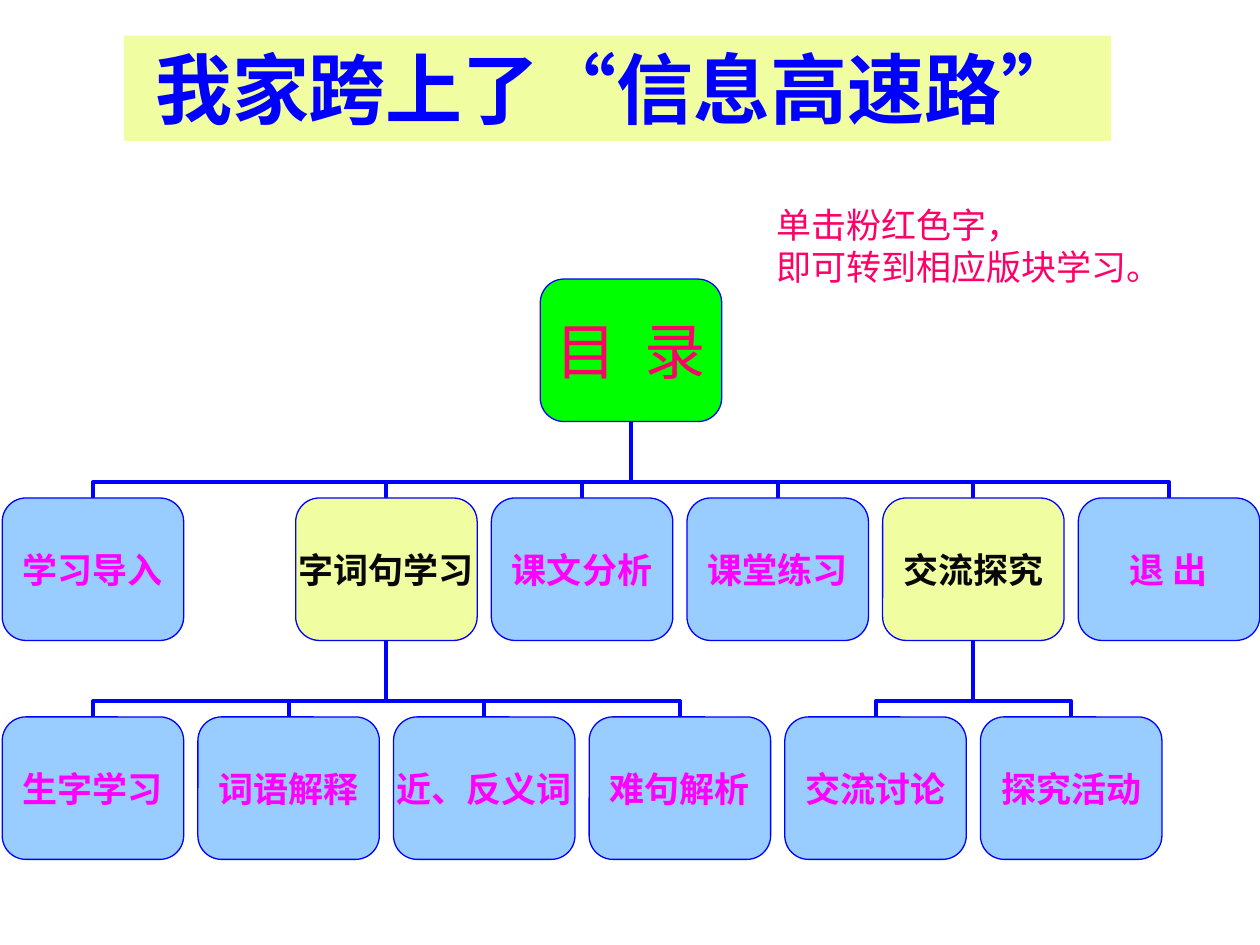
"""Build a contents slide: a title bar, a hint and a three-level tree of topics."""
from lxml import etree
from pptx import Presentation
from pptx.dml.color import RGBColor
from pptx.enum.shapes import MSO_CONNECTOR, MSO_SHAPE
from pptx.enum.text import MSO_ANCHOR, PP_ALIGN
from pptx.oxml.ns import qn
from pptx.util import Pt

RECT, ROUNDED = MSO_SHAPE.RECTANGLE, MSO_SHAPE.ROUNDED_RECTANGLE
ELBOW = MSO_CONNECTOR.ELBOW
LEFT, CENTER = PP_ALIGN.LEFT, PP_ALIGN.CENTER
TOP, MIDDLE = MSO_ANCHOR.TOP, MSO_ANCHOR.MIDDLE

TITLE = "我家跨上了“信息高速路”"
HINT = "单击粉红色字，\v即可转到相应版块学习。"
ROOT = "目  录"
TOPICS = [
    ("学习导入", 0, []),
    ("字词句学习", 1.5, [("生字学习", 0), ("词语解释", 1), ("近、反义词", 2), ("难句解析", 3)]),
    ("课文分析", 2.5, []),
    ("课堂练习", 3.5, []),
    ("交流探究", 4.5, [("交流讨论", 4), ("探究活动", 5)]),
    ("退 出", 5.5, []),
]
COLORS = {
    "blue": "0000FF", "yellow": "F0FDA1", "green": "00FF00", "sky": "99CCFF",
    "pink": "FF0066", "magenta": "FF00FF", "black": "080808",
}
FONT = "Arial"
TREE_LEFT, TREE_TOP = 1.3, 159.5
BOX_W, BOX_H = 103.7, 81.4
COL_STEP, ROW_STEP = 111.8, 125.1
ELBOW_BEND = 20500


def rgb(name):
    return RGBColor.from_string(COLORS[name])


def write(s, text, size=20, color="pink", bold=False, align=LEFT, anchor=TOP,
          margins=(7.2, 3.6), wrap=True):
    tf = s.text_frame
    tf.word_wrap = wrap
    tf.vertical_anchor = anchor
    tf.margin_left = tf.margin_right = Pt(margins[0])
    tf.margin_top = tf.margin_bottom = Pt(margins[1])
    p = tf.paragraphs[0]
    p.text = text
    p.alignment = align
    for r in p.runs:
        r.font.name = FONT
        r.font.size = Pt(size)
        r.font.bold = bold
        r.font.color.rgb = rgb(color)


def add_box(slide, kind, x, y, w, h, fill, line=None):
    s = slide.shapes.add_shape(kind, Pt(x), Pt(y), Pt(w), Pt(h))
    s.shadow.inherit = False
    s.fill.solid()
    s.fill.fore_color.rgb = rgb(fill)
    if line:
        s.line.color.rgb = rgb(line)
        s.line.width = Pt(0.75)
    else:
        s.line.fill.background()
    return s


def add_node(slide, text, col, row, fill="sky", color="magenta", size=20, bold=True):
    x, y = TREE_LEFT + col * COL_STEP, TREE_TOP + row * ROW_STEP
    s = add_box(slide, ROUNDED, x, y, BOX_W, BOX_H, fill, "blue")
    write(s, text, size=size, color=color, bold=bold, align=CENTER,
          anchor=MIDDLE, margins=(0, 0), wrap=False)


def add_branch(slide, child_col, parent_col, row):
    length = ROW_STEP - BOX_H
    spread = abs(child_col - parent_col) * COL_STEP
    mid_x = TREE_LEFT + BOX_W / 2 + (child_col + parent_col) / 2 * COL_STEP
    mid_y = TREE_TOP + row * ROW_STEP - length / 2
    is_right = child_col > parent_col
    half = length / 2 if is_right else -length / 2
    c = slide.shapes.add_connector(
        ELBOW, Pt(mid_x - half), Pt(mid_y + spread / 2),
        Pt(mid_x + half), Pt(mid_y - spread / 2))
    c.line.color.rgb = rgb("blue")
    c.line.width = Pt(2.25)
    props = c._element.spPr
    props.find(qn("a:xfrm")).set("rot", str((270 if is_right else 90) * 60000))
    guides = props.find(qn("a:prstGeom")).find(qn("a:avLst"))
    etree.SubElement(guides, qn("a:gd"), name="adj1", fmla=f"val {ELBOW_BEND}")
    etree.SubElement(props, qn("a:effectLst"))


def add_tree(slide):
    root_col = (TOPICS[0][1] + TOPICS[-1][1]) / 2
    for _, col, children in TOPICS:
        add_branch(slide, col, root_col, 1)
        for _, child_col in children:
            add_branch(slide, child_col, col, 2)
    add_node(slide, ROOT, root_col, 0, fill="green", color="pink", size=35, bold=False)
    for text, col, children in TOPICS:
        look = {"fill": "yellow", "color": "black"} if children else {}
        add_node(slide, text, col, 1, **look)
        for child, child_col in children:
            add_node(slide, child, child_col, 2)


def main():
    prs = Presentation()
    prs.slide_width, prs.slide_height = Pt(720), Pt(540)
    slide = prs.slides.add_slide(prs.slide_layouts[6])
    title = add_box(slide, RECT, 70.8, 20.4, 564, 60.2, "yellow")
    write(title, TITLE, size=44, color="blue", bold=True, align=CENTER)
    add_tree(slide)
    hint = slide.shapes.add_textbox(Pt(436.5), Pt(112.5), Pt(252.5), Pt(55.4))
    write(hint, HINT)
    prs.save("out.pptx")


if __name__ == "__main__":
    main()
